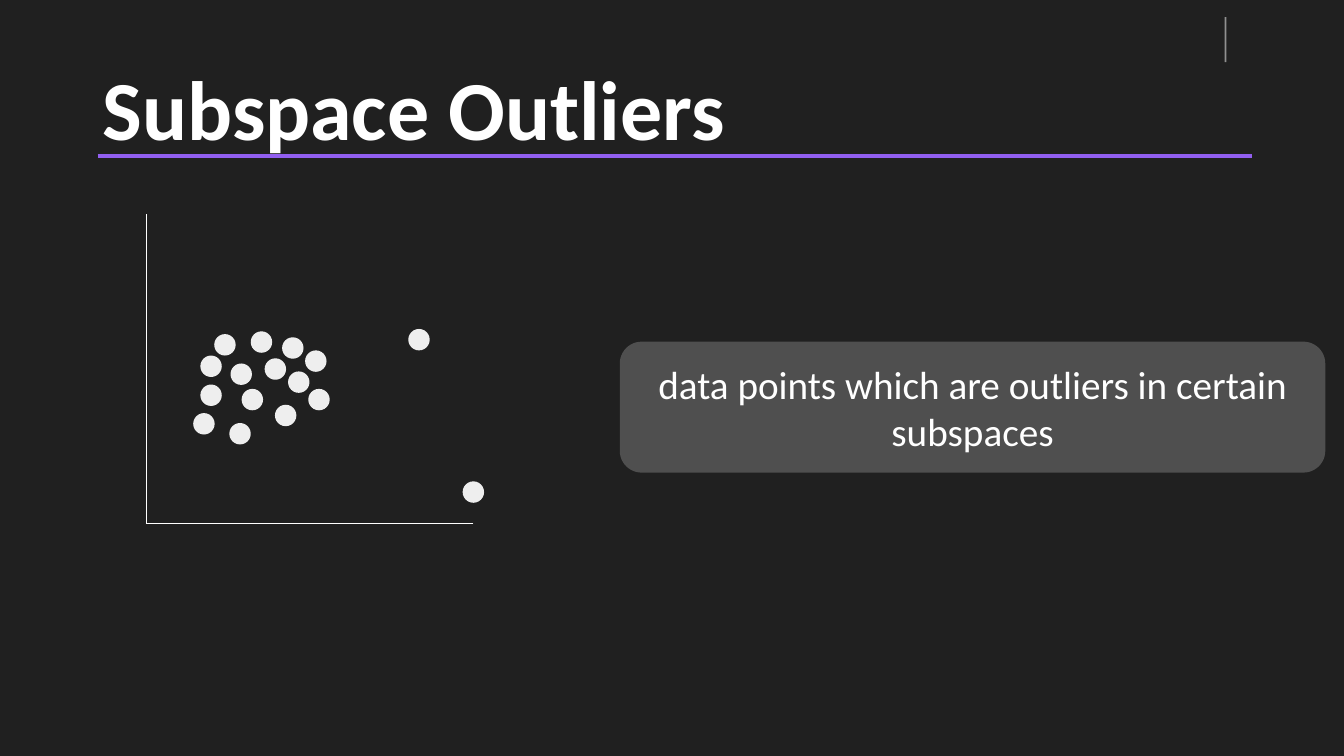
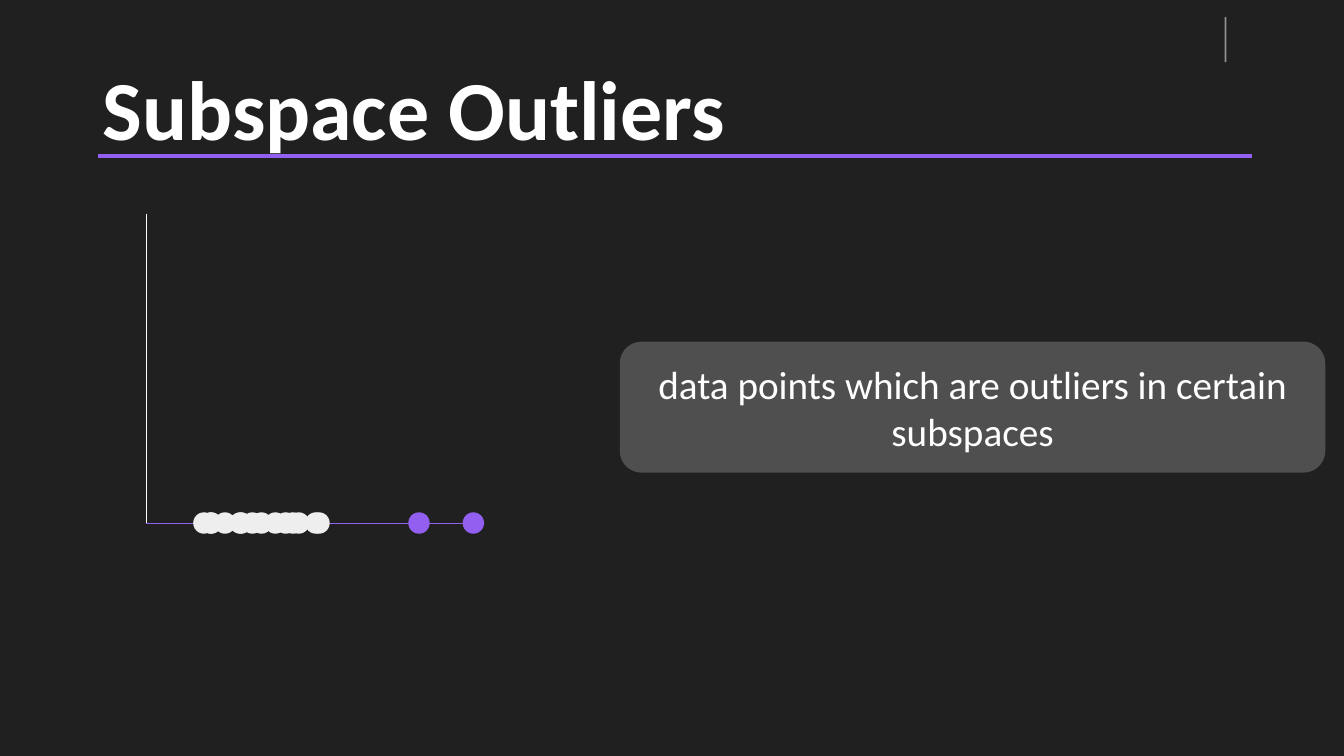
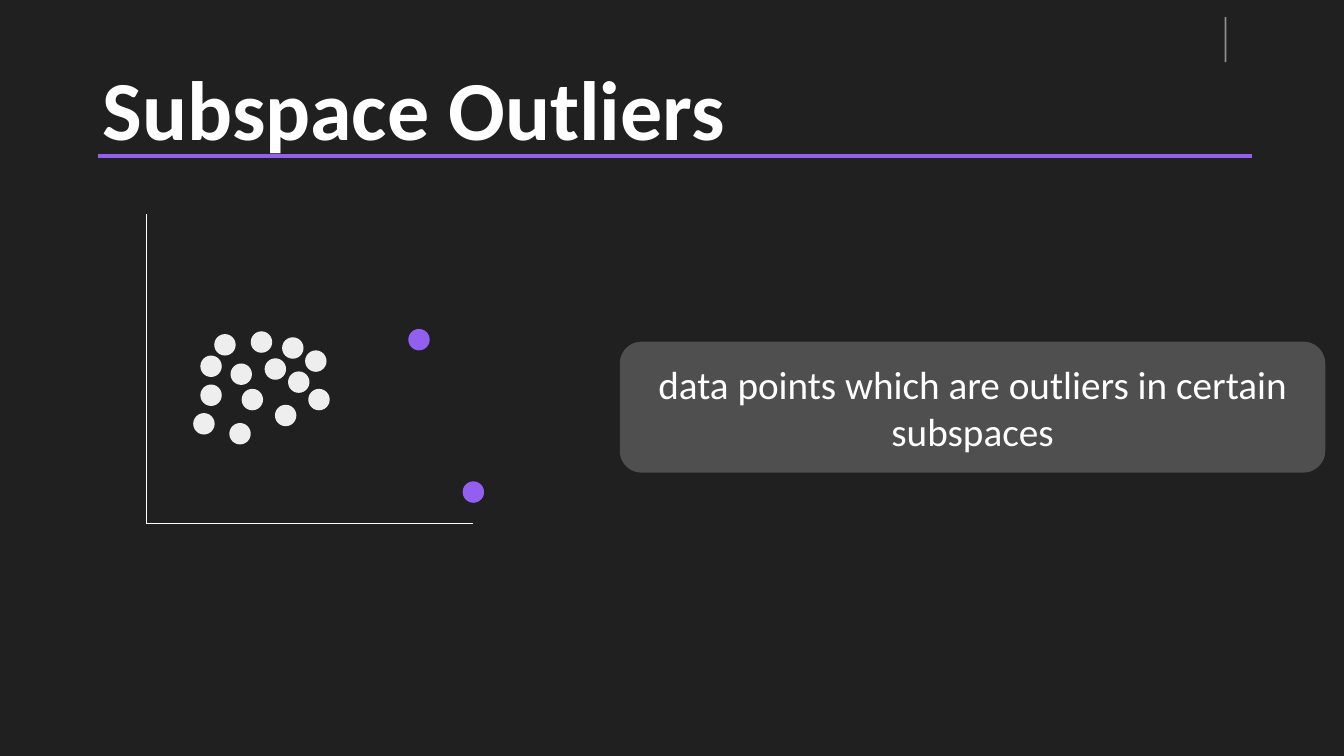
from collections import namedtuple

from lxml import etree
from pptx import Presentation
from pptx.dml.color import RGBColor
from pptx.enum import shapes, text
from pptx.oxml import ns
from pptx.util import Cm, Pt

BACKGROUND = RGBColor(0x20, 0x20, 0x20)
WHITE = RGBColor(0xFF, 0xFF, 0xFF)
PURPLE = RGBColor(0x92, 0x5F, 0xF0)
PANEL = RGBColor(0x4F, 0x4F, 0x4F)
MARK = RGBColor(0x90, 0x90, 0x90)
POINT = RGBColor(0xEE, 0xEE, 0xEE)
FONT = "Calibri"

Box = namedtuple("Box", "left top width height")
TITLE = Box(2.34, 1.02, 29.21, 3.68)
TOP_MARK = Box(30.86, 0.43, 0.05, 1.14)
PLOT = Box(3.68, 5.38, 8.25, 7.8)
CALLOUT = Box(15.62, 8.61, 17.78, 3.3)

DOT_SIZE = 0.54
CLUSTER = [
    (2.68, 4.69), (4.28, 3.72), (1.46, 5.3), (2.37, 5.55), (3.26, 3.92),
    (3.85, 4.25), (2.4, 4.05), (1.64, 3.85), (2.91, 3.24), (1.99, 3.31),
    (3.52, 5.09), (3.7, 3.39), (4.36, 4.69), (1.64, 4.58),
]
OUTLIERS = [(6.88, 3.18), (8.25, 7.02)]


def add_filled(page, kind, box, color):
    shape = page.shapes.add_shape(kind, *map(Cm, box))
    shape.shadow.inherit = False
    shape.fill.solid()
    shape.fill.fore_color.rgb = color
    shape.line.fill.background()
    return shape


def add_line(page, start, end, color, width):
    line = page.shapes.add_connector(
        shapes.MSO_CONNECTOR.STRAIGHT, *map(Cm, start + end))
    line.line.color.rgb = color
    line.line.width = Pt(width)
    etree.SubElement(line._element.spPr, ns.qn("a:effectLst"))


def write(shape, words, size, bold=False):
    frame = shape.text_frame
    frame.word_wrap = True
    frame.vertical_anchor = text.MSO_ANCHOR.MIDDLE
    para = frame.paragraphs[0]
    para.text = words
    para.font.name = FONT
    para.font.size = Pt(size)
    para.font.bold = bold
    para.font.color.rgb = WHITE
    return para


def add_header(page, box, words):
    title = page.shapes.add_textbox(*map(Cm, box))
    write(title, words, 60, bold=True).line_spacing = 0.9
    rule_top = box.top + 2.92
    add_line(page, (box.left + 0.12, rule_top),
             (box.left + box.width, rule_top), PURPLE, 3)
    add_filled(page, shapes.MSO_SHAPE.RECTANGLE, TOP_MARK, MARK)


def add_callout(page, box, words):
    panel = add_filled(page, shapes.MSO_SHAPE.ROUNDED_RECTANGLE, box, PANEL)
    write(panel, words, 28).alignment = text.PP_ALIGN.CENTER


def add_scatter(page, box, outlier_color, axis_color=WHITE, projected=False):
    bottom = box.top + box.height
    origin = (box.left, bottom)
    add_line(page, (box.left + box.width, bottom), origin, axis_color, 0.5)
    add_line(page, origin, (box.left, box.top), WHITE, 0.5)
    for points, color in ((CLUSTER, POINT), (OUTLIERS, outlier_color)):
        for across, down in points:
            center = bottom if projected else box.top + down
            dot = Box(box.left + across - DOT_SIZE / 2,
                      center - DOT_SIZE / 2, DOT_SIZE, DOT_SIZE)
            add_filled(page, shapes.MSO_SHAPE.OVAL, dot, color)


def add_page(deck, **scatter):
    page = deck.slides.add_slide(deck.slide_layouts[6])
    add_header(page, TITLE, "Subspace Outliers")
    add_callout(page, CALLOUT,
                "data points which are outliers in certain subspaces")
    add_scatter(page, PLOT, **scatter)


def main():
    deck = Presentation()
    deck.slide_width = Cm(33.87)
    deck.slide_height = Cm(19.05)
    backdrop = deck.slide_master.background.fill
    backdrop.solid()
    backdrop.fore_color.rgb = BACKGROUND
    add_page(deck, outlier_color=POINT)
    add_page(deck, outlier_color=PURPLE, axis_color=PURPLE, projected=True)
    add_page(deck, outlier_color=PURPLE)
    deck.save("out.pptx")


if __name__ == "__main__":
    main()
